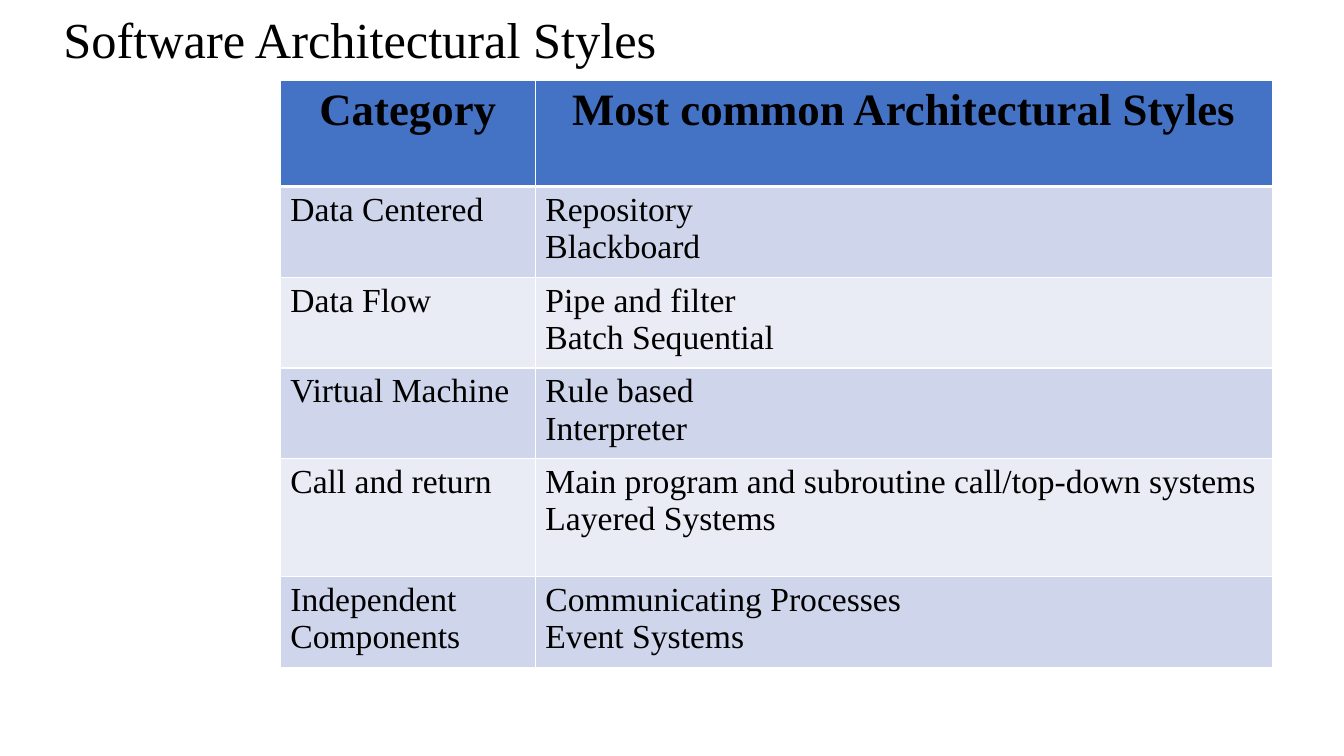
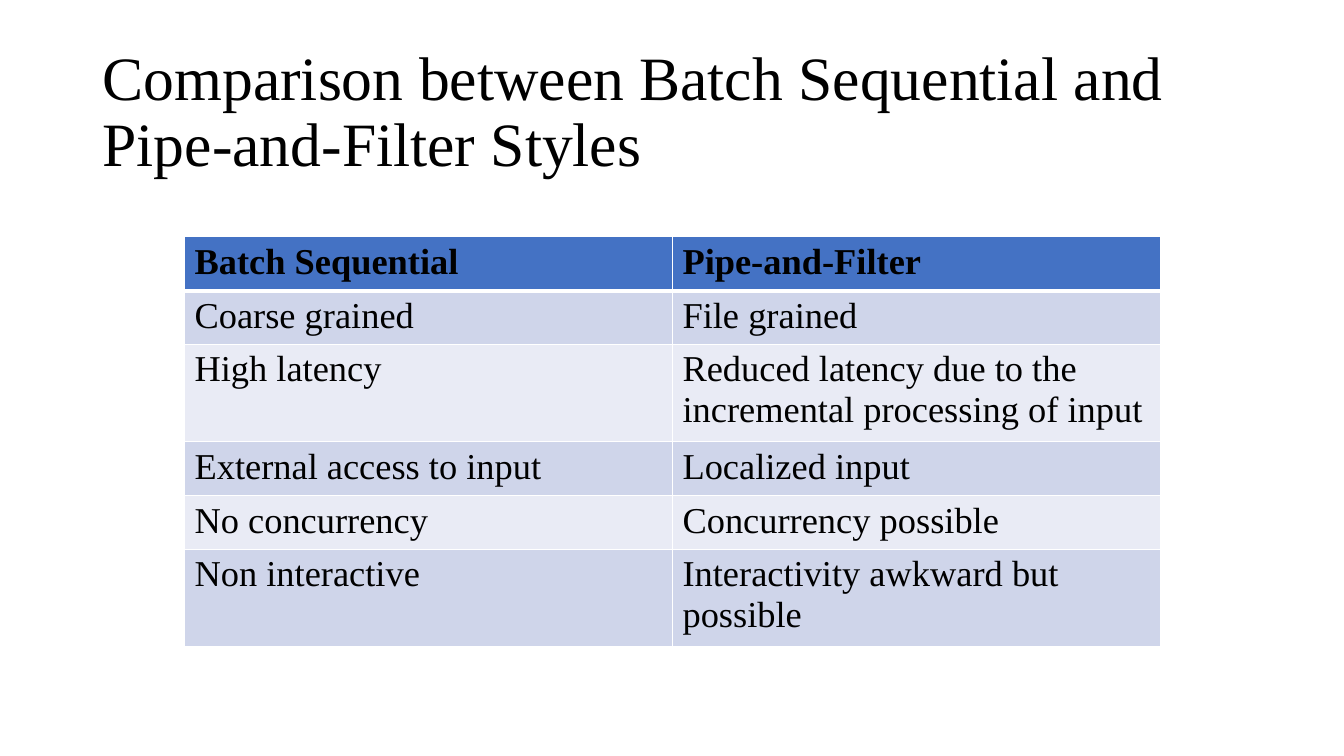
from lxml import etree
from pptx import Presentation
from pptx.dml.color import RGBColor
from pptx.enum.text import MSO_ANCHOR as Anchor, PP_ALIGN as Align
from pptx.oxml.ns import qn
from pptx.util import Inches, Pt

# Shared look
FONT = "Times New Roman"
TEXT, HEADER_FILL, BORDER = "000000", "4472C4", "FFFFFF"
BAND_FILLS = ["CFD5EA", "E9EBF5"]

# Content: the first row of each table is its header
SLIDES = [
    {
        "title": "Software Architectural Styles",
        "title_box": (0.53, 0.03, 11.5, 0.78),
        "title_size": 36,
        "table_at": (2.78, 0.8),
        "columns": [2.53, 7.31],
        "row_heights": [1.05, 0.81, 0.81, 0.81, 1.17, 0.81],
        "header_size": 32,
        "body_size": 24,
        "header_align": Align.CENTER,
        "rows": [
            ("Category", "Most common Architectural Styles"),
            ("Data Centered", "Repository\nBlackboard"),
            ("Data Flow", "Pipe and filter\nBatch Sequential"),
            ("Virtual Machine", "Rule based\nInterpreter"),
            ("Call and return",
             "Main program and subroutine call/top-down systems\nLayered Systems"),
            ("Independent Components", "Communicating Processes\nEvent Systems"),
        ],
    },
    {
        "title": "Comparison between Batch Sequential and Pipe-and-Filter Styles",
        "title_box": (0.92, 0.4, 11.5, 1.45),
        "title_size": 44,
        "table_at": (1.83, 2.35),
        "columns": [4.84, 4.84],
        "row_heights": [0.41] * 6,
        "header_size": 26,
        "body_size": 26,
        "header_align": Align.LEFT,
        "rows": [
            ("Batch Sequential", "Pipe-and-Filter"),
            ("Coarse grained", "File grained"),
            ("High latency",
             "Reduced latency due to the incremental processing of input"),
            ("External access to input", "Localized input"),
            ("No concurrency", "Concurrency possible"),
            ("Non interactive", "Interactivity awkward but possible"),
        ],
    },
]


def color(value):
    return RGBColor.from_string(value)


def style_text(frame, size, bold=False, align=Align.LEFT):
    for paragraph in frame.paragraphs:
        paragraph.alignment = align
        font = paragraph.font
        font.name, font.size, font.bold = FONT, Pt(size), bold
        font.color.rgb = color(TEXT)


def set_borders(cell, widths):
    """Draw the left, right, top and bottom borders, widths in points."""
    properties = cell._tc.get_or_add_tcPr()
    for index, (side, width) in enumerate(zip("LRTB", widths)):
        line = etree.Element(qn(f"a:ln{side}"), w=str(Pt(width)))
        fill = etree.SubElement(line, qn("a:solidFill"))
        etree.SubElement(fill, qn("a:srgbClr"), val=BORDER)
        properties.insert(index, line)


def add_title(slide, content):
    box = slide.shapes.add_textbox(*map(Inches, content["title_box"]))
    frame = box.text_frame
    frame.word_wrap = True
    frame.vertical_anchor = Anchor.MIDDLE
    frame.text = content["title"]
    frame.paragraphs[0].line_spacing = 0.9
    style_text(frame, content["title_size"])


def add_table(slide, content):
    rows, columns, heights = content["rows"], content["columns"], content["row_heights"]
    size = sum(columns), sum(heights)
    table = slide.shapes.add_table(
        len(rows), len(columns), *map(Inches, content["table_at"] + size)).table
    for column, width in zip(table.columns, columns):
        column.width = Inches(width)
    for index, (row, height, texts) in enumerate(zip(table.rows, heights, rows)):
        row.height = Inches(height)
        header = index == 0
        fill = HEADER_FILL if header else BAND_FILLS[(index - 1) % 2]
        for cell, text in zip(row.cells, texts):
            cell.text = text
            cell.fill.solid()
            cell.fill.fore_color.rgb = color(fill)
            # The heavier rule lies between the header and the first body row
            set_borders(cell, (1, 1, 3 if index == 1 else 1, 3 if header else 1))
            style_text(cell.text_frame,
                       content["header_size" if header else "body_size"], header,
                       content["header_align"] if header else Align.LEFT)


def main():
    presentation = Presentation()
    presentation.slide_width, presentation.slide_height = Inches(13.33), Inches(7.5)
    for content in SLIDES:
        slide = presentation.slides.add_slide(presentation.slide_layouts[6])
        add_title(slide, content)
        add_table(slide, content)
    presentation.save("out.pptx")


if __name__ == "__main__":
    main()
